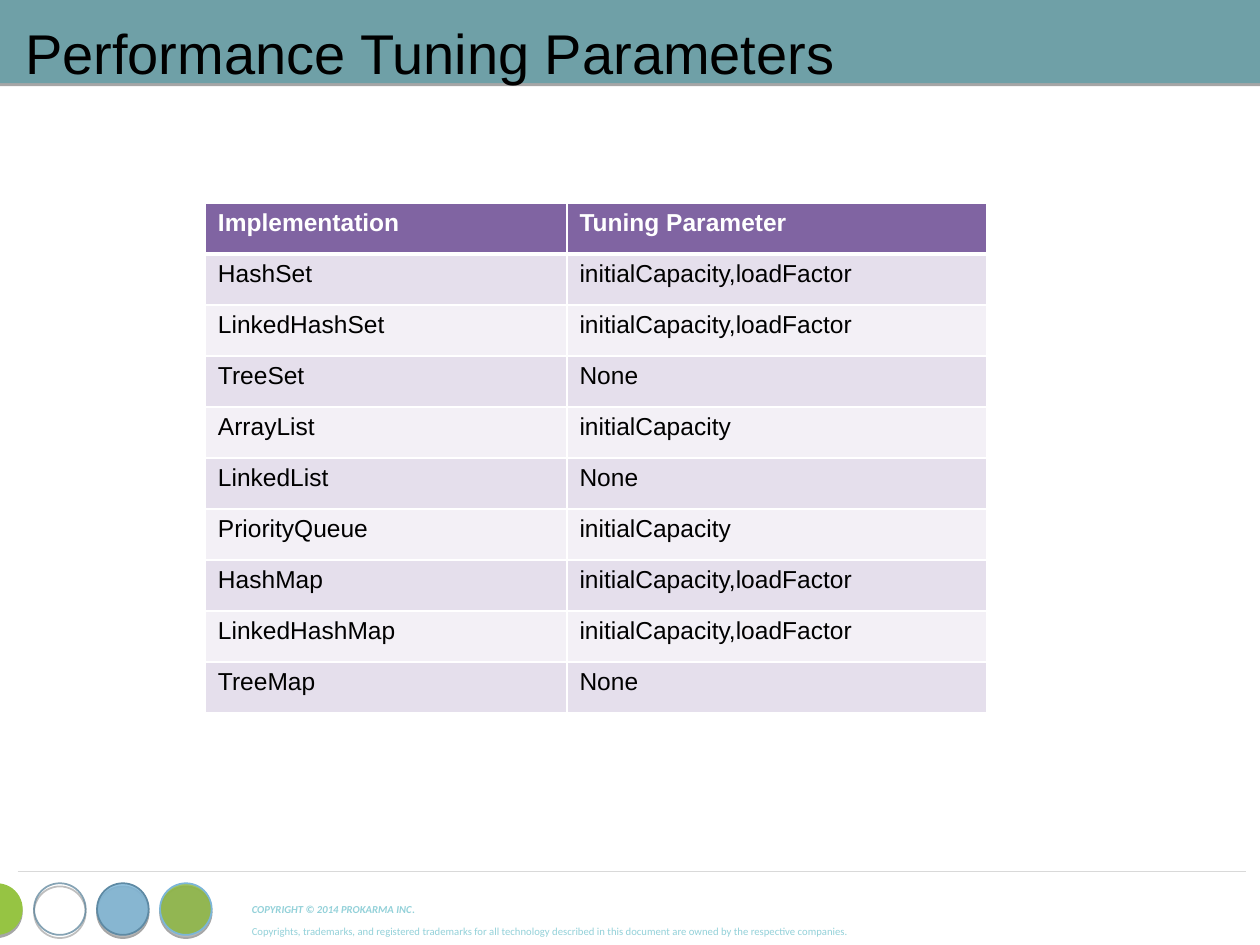
import pptx
import pptx.dml.color
import pptx.enum.shapes
import pptx.enum.text
import pptx.oxml.ns
import pptx.util
from lxml import etree

Inches = pptx.util.Inches
Pt = pptx.util.Pt
qn = pptx.oxml.ns.qn
SHAPES = pptx.enum.shapes.MSO_SHAPE

COLORS = {
    "banner": "6FA0A7", "black": "000000", "white": "FFFFFF",
    "copyright": "93D1D9", "rule": "D9D9D9",
    "lime": "96C443", "ring": "588199",
    "sky": "7CB6D8", "sky_edge": "5E8AA4", "leaf": "8CB73E",
    "table_head": "8064A2", "band_dark": "E5DFEC", "band_light": "F3F0F6",
}

TUNING_ROWS = [
    ("Implementation", "Tuning Parameter"),
    ("HashSet", "initialCapacity,loadFactor"),
    ("LinkedHashSet", "initialCapacity,loadFactor"),
    ("TreeSet", "None"),
    ("ArrayList", "initialCapacity"),
    ("LinkedList", "None"),
    ("PriorityQueue", "initialCapacity"),
    ("HashMap", "initialCapacity,loadFactor"),
    ("LinkedHashMap", "initialCapacity,loadFactor"),
    ("TreeMap", "None"),
]


def rgb(name):
    """Return the palette colour with this name."""
    return pptx.dml.color.RGBColor.from_string(COLORS[name])


def add_text(paragraph, text, size=14, font="Arial", color="black",
             bold=False, italic=False, baseline=None):
    """Append one formatted run to a paragraph."""
    run = paragraph.add_run()
    run.text = text
    run.font.size = Pt(size)
    run.font.name = font
    run.font.color.rgb = rgb(color)
    run.font.bold = bold
    run.font.italic = italic
    if baseline is not None:
        run.font._element.set("baseline", str(baseline * 1000))


def set_alpha(color_element, percent):
    """Give a colour element an opacity in percent."""
    etree.SubElement(color_element, qn("a:alpha")).set("val", str(percent * 1000))


def add_shadowed_shape(slide, kind, box, fill=None, line=None, opacity=100, line_opacity=100):
    """Add a preset shape with a hard shadow just below it."""
    shape = slide.shapes.add_shape(kind, *map(Inches, box))
    shape.shadow.inherit = False
    if fill:
        shape.fill.solid()
        shape.fill.fore_color.rgb = rgb(fill)
        set_alpha(shape._element.spPr.find(".//" + qn("a:srgbClr")), opacity)
    else:
        shape.fill.background()
    if line:
        shape.line.color.rgb = rgb(line)
        shape.line.width = Pt(1)
        set_alpha(shape._element.spPr.find(qn("a:ln")).find(".//" + qn("a:srgbClr")),
                  line_opacity)
    else:
        shape.line.fill.background()
    effects = shape._element.spPr.find(qn("a:effectLst"))
    shadow = etree.SubElement(effects, qn("a:outerShdw"), blurRad="0",
                              dist=str(Pt(1.8)), dir="5400000", rotWithShape="0")
    shadow_color = etree.SubElement(shadow, qn("a:srgbClr"), val=COLORS["black"])
    set_alpha(shadow_color, 35)


def add_header(slide, left, top, width, height):
    """Draw the banner and set the title on it."""
    add_shadowed_shape(slide, SHAPES.RECTANGLE, (left, top, width, height), fill="banner")
    title = slide.shapes.title
    title.left, title.top = Inches(left + 0.12), Inches(top + 0.1)
    title.width, title.height = Inches(9.5), Inches(0.6)
    frame = title.text_frame
    frame.auto_size = pptx.enum.text.MSO_AUTO_SIZE.NONE
    frame.vertical_anchor = pptx.enum.text.MSO_ANCHOR.TOP
    paragraph = frame.paragraphs[0]
    paragraph.alignment = pptx.enum.text.PP_ALIGN.LEFT
    add_text(paragraph, "Performance Tuning Parameters", size=32)
    slide.shapes._spTree.append(title._element)


def set_borders(cell, widths):
    """Give a cell white borders, with widths in points by side."""
    properties = cell._tc.get_or_add_tcPr()
    for side in "LRTB":
        border = etree.SubElement(properties, qn("a:ln" + side), w=str(Pt(widths[side])))
        fill = etree.SubElement(border, qn("a:solidFill"))
        etree.SubElement(fill, qn("a:srgbClr"), val=COLORS["white"])


def add_tuning_table(slide, left, top, width, height):
    """Add the banded table of implementations and parameters."""
    table = slide.shapes.add_table(len(TUNING_ROWS), 2, Inches(left), Inches(top),
                                   Inches(width), Inches(height)).table
    first_width = 2.87
    table.columns[0].width = Inches(first_width)
    table.columns[1].width = Inches(width - first_width)
    for row_index, values in enumerate(TUNING_ROWS):
        is_head = row_index == 0
        band = "band_dark" if row_index % 2 else "band_light"
        widths = {"L": 0.96, "R": 0.96, "T": 3 if row_index == 1 else 0.96,
                  "B": 3 if is_head else 0.96}
        for column_index, value in enumerate(values):
            cell = table.cell(row_index, column_index)
            set_borders(cell, widths)
            cell.fill.solid()
            cell.fill.fore_color.rgb = rgb("table_head" if is_head else band)
            add_text(cell.text_frame.paragraphs[0], value, bold=is_head,
                     color="white" if is_head else "black")


def add_footer(slide, left, top, width):
    """Draw the rule, the row of circles and the copyright lines."""
    rule = slide.shapes.add_connector(pptx.enum.shapes.MSO_CONNECTOR.STRAIGHT, Inches(left),
                                      Inches(top), Inches(left + width), Inches(top))
    rule.line.color.rgb = rgb("rule")
    rule.line.width = Pt(0.5)
    etree.SubElement(rule._element.spPr, qn("a:effectLst"))

    circles = [
        {"fill": "lime"},
        {"line": "ring", "line_opacity": 72},
        {"fill": "sky", "line": "sky_edge", "opacity": 81},
        {"fill": "leaf", "line": "sky", "opacity": 83},
    ]
    for index, style in enumerate(circles):
        box = (left - 0.37 + 0.5 * index, top + 0.09, 0.41, 0.41)
        add_shadowed_shape(slide, SHAPES.OVAL, box, **style)

    frame = slide.shapes.add_textbox(Inches(left + 1.76), Inches(top + 0.18),
                                     Inches(7.54), Inches(0.4)).text_frame
    frame.word_wrap = True
    paragraph = frame.paragraphs[0]
    style = {"size": 10.5, "font": "Calibri", "color": "copyright", "baseline": 30}
    add_text(paragraph, "COPYRIGHT © 2014 PROKARMA INC", bold=True, italic=True, **style)
    add_text(paragraph, ".", bold=True, **style)
    paragraph.add_line_break()
    add_text(paragraph, "Copyrights, trademarks, and registered trademarks for all technology "
             "described in this document are owned by the respective companies.", **style)


def main():
    """Build the slide and save it."""
    presentation = pptx.Presentation()
    presentation.slide_width = Inches(10)
    presentation.slide_height = Inches(7.5)
    slide = presentation.slides.add_slide(presentation.slide_layouts[5])
    add_footer(slide, 0.14, 6.92, 9.75)
    add_header(slide, -0.02, 0, 10.07, 0.66)
    add_tuning_table(slide, 1.63, 1.61, 6.2, 4.05)
    presentation.save("out.pptx")


if __name__ == "__main__":
    main()
